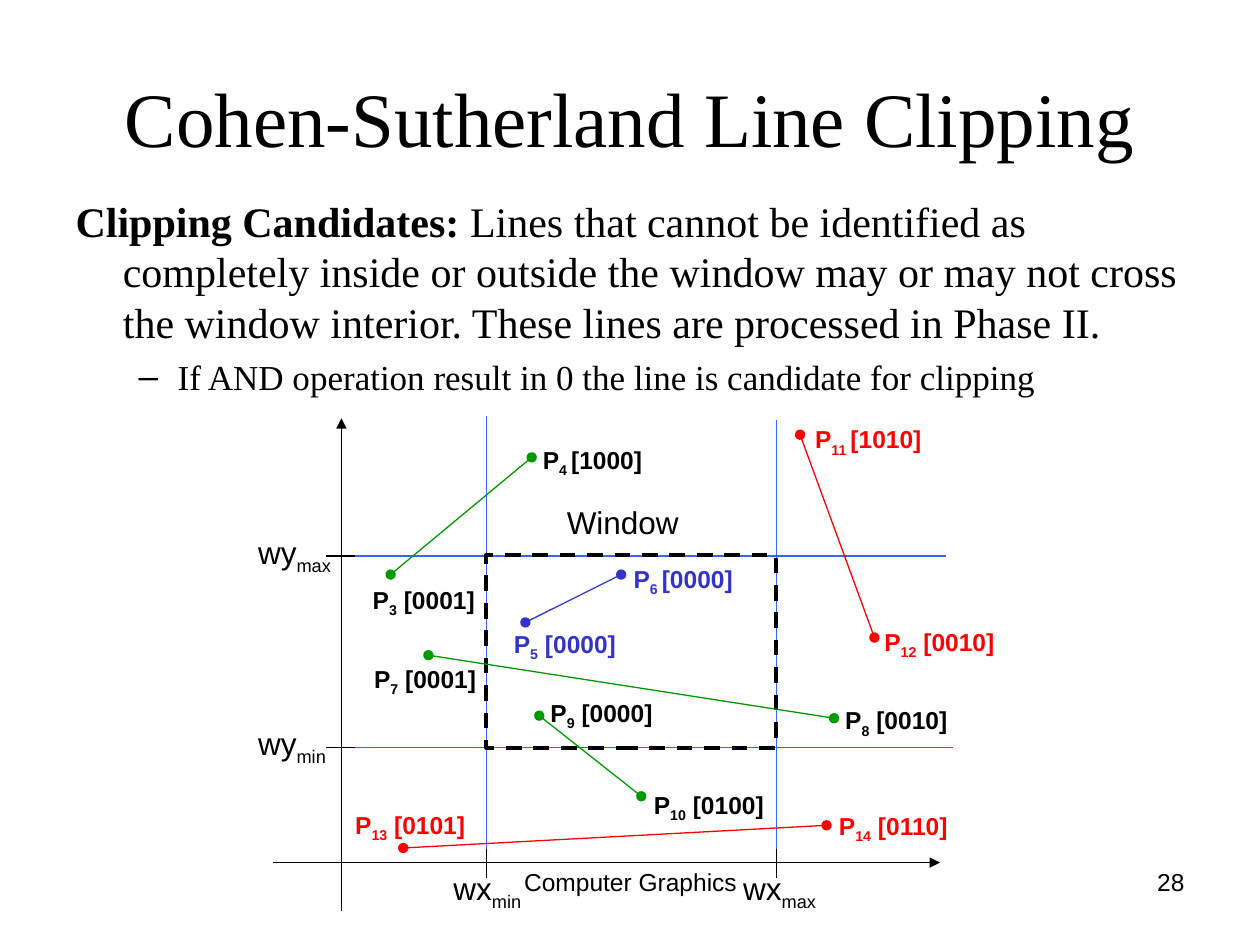
from dataclasses import dataclass

from lxml import etree
from pptx import Presentation
from pptx import util as u
from pptx.dml.color import RGBColor
from pptx.enum import dml, shapes, text
from pptx.oxml.ns import qn

COLORS = {
    "black": "000000",
    "grid": "3366FF",
    "inside": "3333CC",
    "candidate": "009900",
    "outside": "FF0000",
}
COLUMN = u.Inches(10) // 100
ROW = u.Inches(7.5) // 75
WX_MIN, WX_MAX, WY_MAX, WY_MIN = 38.6, 61.63, 44.13, 59.35
X_AXIS, Y_AXIS = 68.46, 27.1
TICK = 2.3


@dataclass
class Label:
    wording: str
    left: float
    top: float
    width: float


@dataclass
class Line:
    start: tuple[float, float]
    end: tuple[float, float]
    color: str = "black"
    head: str = ""
    tail: str = ""


@dataclass
class Segment:
    start: tuple[float, float]
    end: tuple[float, float]
    color: str
    label_color: str
    labels: tuple[Label, Label]


GRID = [
    Line((WX_MIN, 33), (WX_MIN, 67.6), "grid"),
    Line((WX_MAX, 33.3), (WX_MAX, 68), "grid"),
    Line((75.1, WY_MAX), (27.7, WY_MAX), "grid"),
    Line((75.6, WY_MIN), (28.2, WY_MIN), "grid"),
]
AXES = [
    Line((21.7, X_AXIS), (74.6, X_AXIS), tail="triangle"),
    Line((Y_AXIS, 72.3), (Y_AXIS, 33.2), tail="triangle"),
]
TICKS = [Line((28.2, y), (28.2 - TICK, y)) for y in (WY_MAX, WY_MIN)] + [
    Line((x, 67.4), (x, 67.4 + TICK)) for x in (WX_MIN, WX_MAX)
]
AXIS_LABELS = [
    Label("wy_max", 19.5, 41.8, 8),
    Label("wy_min", 19.5, 57, 8),
    Label("wx_min", 35, 68.5, 8),
    Label("wx_max", 58, 68.5, 8),
    Label("Window", 44, 39.4, 11),
]
SEGMENTS = [
    Segment((41.7, 49.4), (49.3, 45.6), "inside", "inside",
            (Label("P_5_ [0000]", 39.8, 49.4, 10.5), Label("P_6 _[0000]", 49.3, 44.3, 10.5))),
    Segment((31, 45.6), (42.2, 36.3), "candidate", "black",
            (Label("P_3_ [0001]", 28.6, 45.9, 10.5), Label("P_4 _[1000]", 42.1, 34.8, 10.5))),
    Segment((42.8, 56.8), (50.9, 63.2), "candidate", "black",
            (Label("P_9_ [0000]", 42.7, 54.9, 10.5), Label("P_10_ [0100]", 50.9, 62.2, 11.5))),
    Segment((34, 52), (66.2, 57), "candidate", "black",
            (Label("P_7_ [0001]", 28.7, 52.2, 10.5), Label("P_8_ [0010]", 66.1, 55.5, 10.5))),
    Segment((69.4, 50.6), (63.5, 34.5), "outside", "outside",
            (Label("P_12_ [0010]", 69.2, 49.3, 11.5), Label("P_11 _[1010]", 63.7, 33.2, 11.5))),
    Segment((32, 67.3), (65.6, 65.5), "outside", "outside",
            (Label("P_13_ [0101]", 27.2, 63.8, 11.5), Label("P_14_ [0110]", 65.6, 63.9, 11.5))),
]


def columns(count: float) -> int:
    return round(count * COLUMN)


def rows(count: float) -> int:
    return round(count * ROW)


def color(name: str) -> RGBColor:
    return RGBColor.from_string(COLORS[name])


def place(shape, left: float, top: float, width: float, height: float) -> None:
    shape.left, shape.top = columns(left), rows(top)
    shape.width, shape.height = columns(width), rows(height)


def write(paragraph, wording: str, *, size: float, font: str = "Arial",
          fill: str = "black", bold: bool = False) -> None:
    for index, part in enumerate(wording.split("_")):
        run = paragraph.add_run()
        run.text = part
        run.font.size, run.font.name, run.font.bold = u.Pt(size), font, bold
        run.font.color.rgb = color(fill)
        if index % 2:
            run.font._element.set("baseline", "-25000")


def add_label(slide, label: Label, *, height: float, size: float, fill: str = "black",
              bold: bool = False, align=text.PP_ALIGN.LEFT) -> None:
    shape = slide.shapes.add_textbox(columns(label.left), rows(label.top),
                                     columns(label.width), rows(height))
    frame = shape.text_frame
    frame.word_wrap = True
    frame.auto_size = text.MSO_AUTO_SIZE.NONE
    paragraph = frame.paragraphs[0]
    paragraph.alignment = align
    write(paragraph, label.wording, size=size, fill=fill, bold=bold)


def add_line(slide, line: Line) -> None:
    connector = slide.shapes.add_connector(
        shapes.MSO_CONNECTOR.STRAIGHT, columns(line.start[0]), rows(line.start[1]),
        columns(line.end[0]), rows(line.end[1]))
    connector.line.color.rgb = color(line.color)
    connector.line.width = u.Pt(0.75)
    outline = connector.line._get_or_add_ln()
    for tag, kind in (("a:headEnd", line.head), ("a:tailEnd", line.tail)):
        if kind:
            etree.SubElement(outline, qn(tag), type=kind)
    etree.SubElement(connector._element.spPr, qn("a:effectLst"))


def add_window(slide) -> None:
    window = slide.shapes.add_shape(
        shapes.MSO_SHAPE.RECTANGLE, columns(WX_MIN), rows(WY_MAX - 0.1),
        columns(WX_MAX - WX_MIN), rows(WY_MIN - WY_MAX + 0.1))
    window.shadow.inherit = False
    window.fill.background()
    window.line.color.rgb = color("black")
    window.line.width = u.Pt(2.25)
    window.line.dash_style = dml.MSO_LINE.DASH


def indent(paragraph, margin: float, hanging: float) -> None:
    properties = paragraph._p.get_or_add_pPr()
    properties.set("marL", str(columns(margin)))
    properties.set("indent", str(-columns(hanging)))


def fill_placeholders(slide) -> None:
    title, body = slide.shapes.title, slide.placeholders[1]
    place(title, 5, 3, 90, 12.5)
    place(body, 5, 15, 90, 49.5)
    for shape in (title, body):
        shape.text_frame.auto_size = text.MSO_AUTO_SIZE.NONE
    serif = "Times New Roman"
    heading = title.text_frame.paragraphs[0]
    heading.alignment = text.PP_ALIGN.CENTER
    write(heading, "Cohen-Sutherland Line Clipping", size=44, font=serif)

    definition = body.text_frame.paragraphs[0]
    indent(definition, 3.75, 3.75)
    definition.space_before = u.Pt(0)
    etree.SubElement(definition._p.get_or_add_pPr(), qn("a:buNone"))
    write(definition, "Clipping Candidates: ", size=24, font=serif, bold=True)
    write(definition, "Lines that cannot be identified as completely inside or outside the window "
          "may or may not cross the window interior. These lines are processed in Phase II.",
          size=24, font=serif)

    rule = body.text_frame.add_paragraph()
    rule.level = 1
    indent(rule, 8.1, 3.1)
    rule.space_before = u.Pt(5)
    write(rule, "If AND operation result in 0 the line is candidate for clipping",
          size=20, font=serif)


def main() -> None:
    presentation = Presentation()
    presentation.slide_width, presentation.slide_height = 100 * COLUMN, 75 * ROW
    slide = presentation.slides.add_slide(presentation.slide_layouts[1])
    fill_placeholders(slide)
    add_label(slide, Label("Computer Graphics", 34.2, 68.3, 31.7), height=5.2, size=14,
              align=text.PP_ALIGN.CENTER)
    add_label(slide, Label("28", 71.7, 68.3, 23.3), height=5.2, size=14,
              align=text.PP_ALIGN.RIGHT)
    for line in GRID + AXES:
        add_line(slide, line)
    add_window(slide)
    for line in TICKS:
        add_line(slide, line)
    for label in AXIS_LABELS:
        add_label(slide, label, height=4.4 if "_" in label.wording else 4, size=18)
    for segment in SEGMENTS:
        add_line(slide, Line(segment.start, segment.end, segment.color, "oval", "oval"))
        for label in segment.labels:
            add_label(slide, label, height=3.7, size=14, fill=segment.label_color, bold=True)
    presentation.save("out.pptx")


if __name__ == "__main__":
    main()
